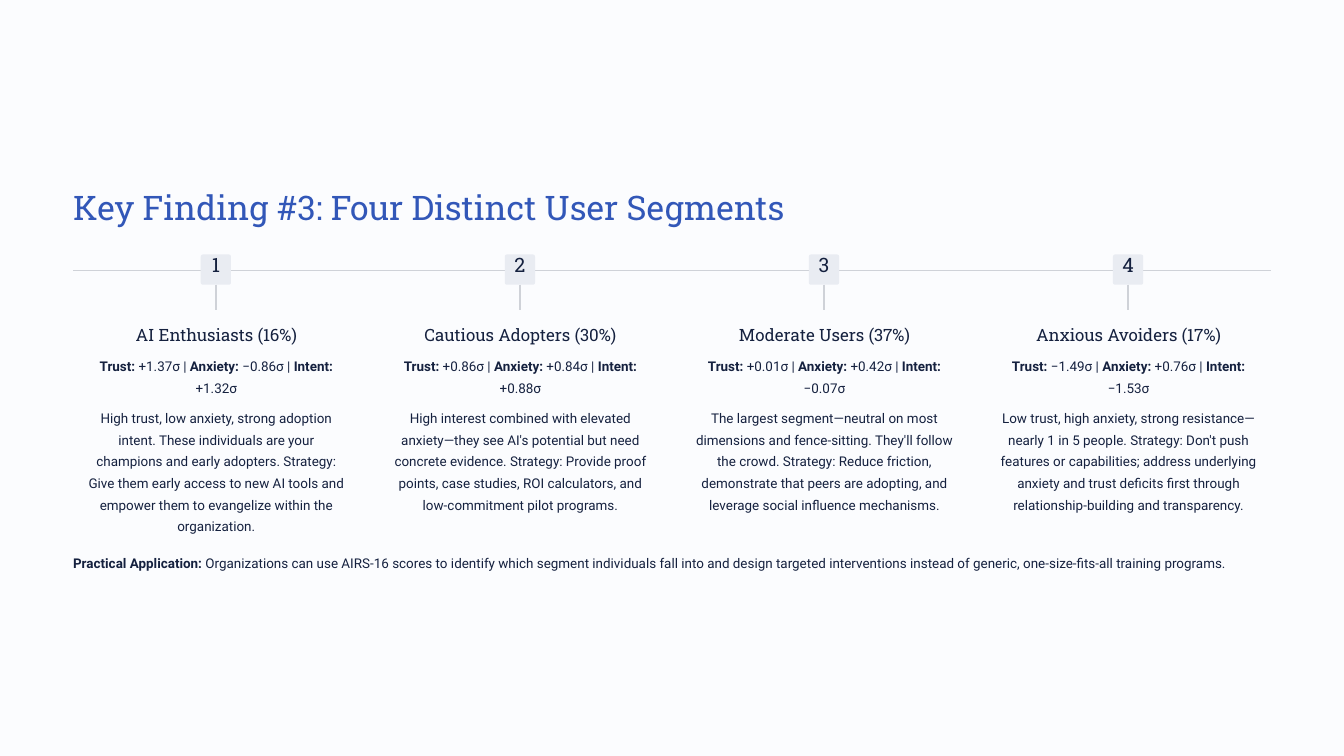
from lxml import etree
from pptx import Presentation
from pptx.dml.color import RGBColor
from pptx.enum.shapes import MSO_CONNECTOR as Conn, MSO_SHAPE as Shape
from pptx.enum.text import MSO_ANCHOR as Anchor, PP_ALIGN as Align
from pptx.oxml.ns import qn
from pptx.util import Pt

PX = 9144  # 100 px to the inch
INK, BLUE, RULE, BADGE = "15213F", "3257B8", "CFD2D8", "E9ECF2"
SLAB, SANS = "Roboto Slab", "Roboto"

prs = Presentation()
prs.slide_width, prs.slide_height = 1600 * PX, 900 * PX
slide = prs.slides.add_slide(prs.slide_layouts[6])
shapes = slide.shapes
fill = slide.background.fill
fill.solid()
fill.fore_color.rgb = RGBColor.from_string("FBFCFE")


def write(shape, parts, size, lead, font=SANS, color=INK, align=Align.CENTER, top=0):
    """Fill a shape with one paragraph; parts ending in a colon are bold if others follow."""
    frame = shape.text_frame
    frame.word_wrap = True
    frame.vertical_anchor = Anchor.TOP
    frame.margin_left = frame.margin_right = frame.margin_bottom = 0
    frame.margin_top = top * PX
    para = frame.paragraphs[0]
    para.alignment = align
    para.line_spacing = Pt(lead)
    for part in parts:
        run = para.add_run()
        run.text = part
        run.font.name, run.font.size = font, Pt(size)
        run.font.bold = len(parts) > 1 and part.endswith(":")
        run.font.color.rgb = RGBColor.from_string(color)


def rule(x1, y1, x2, y2):
    """Draw a thin grey line."""
    line = shapes.add_connector(Conn.STRAIGHT, x1 * PX, y1 * PX, x2 * PX, y2 * PX)
    line.line.color.rgb = RGBColor.from_string(RULE)
    line.line.width = Pt(1.5)
    etree.SubElement(line._element.spPr, qn("a:effectLst"))
    return line


# Title and timeline
title = shapes.add_textbox(87 * PX, 221 * PX, 1426 * PX, 50 * PX)
write(title, ["Key Finding #3: Four Distinct User Segments"], 29, 36, SLAB, BLUE, Align.LEFT)
rule(87, 322, 1513, 322)

# Segments: name, trust, anxiety, intent, description
groups = [
    ("AI Enthusiasts (16%)", "+1.37σ", "−0.86σ", "+1.32σ",
     "High trust, low anxiety, strong adoption intent. These individuals are your "
     "champions and early adopters. Strategy: Give them early access to new AI tools "
     "and empower them to evangelize within the organization."),
    ("Cautious Adopters (30%)", "+0.86σ", "+0.84σ", "+0.88σ",
     "High interest combined with elevated anxiety—they see AI's potential but need "
     "concrete evidence. Strategy: Provide proof points, case studies, ROI calculators, "
     "and low-commitment pilot programs."),
    ("Moderate Users (37%)", "+0.01σ", "+0.42σ", "−0.07σ",
     "The largest segment—neutral on most dimensions and fence-sitting. They'll follow "
     "the crowd. Strategy: Reduce friction, demonstrate that peers are adopting, and "
     "leverage social influence mechanisms."),
    ("Anxious Avoiders (17%)", "−1.49σ", "+0.76σ", "−1.53σ",
     "Low trust, high anxiety, strong resistance—nearly 1 in 5 people. Strategy: Don't "
     "push features or capabilities; address underlying anxiety and trust deficits first "
     "through relationship-building and transparency."),
]
WIDE, SIDE, PITCH = 309, 36, 362
for i, (name, trust, fear, intent, about) in enumerate(groups):
    mid = 257 + i * PITCH
    left = mid - WIDE // 2

    # Numbered badge and its stem
    badge = shapes.add_shape(Shape.ROUNDED_RECTANGLE, (mid - SIDE // 2) * PX, 303 * PX,
                             SIDE * PX, SIDE * PX)
    badge.adjustments[0] = 0.07
    badge.shadow.inherit = False
    badge.fill.solid()
    badge.fill.fore_color.rgb = RGBColor.from_string(BADGE)
    badge.line.fill.background()
    write(badge, [str(i + 1)], 17, 17, SLAB, top=2)
    stem = rule(mid, 339, mid, 369)
    stem.begin_connect(badge, 2)

    # Name, scores and description
    label = shapes.add_textbox(left * PX, 385 * PX, WIDE * PX, 25 * PX)
    write(label, [name], 14.5, 18, SLAB)
    score = shapes.add_textbox(left * PX, 420 * PX, WIDE * PX, 52 * PX)
    write(score, ["Trust:", f" {trust} | ", "Anxiety:", f" {fear} | ", "Intent:", f" {intent}"],
          11.5, 18.5)
    body = shapes.add_textbox(left * PX, 482 * PX, WIDE * PX, 155 * PX)
    write(body, [about], 11.5, 18.5)

# Closing note
note = shapes.add_textbox(87 * PX, 654 * PX, 1426 * PX, 26 * PX)
write(note, ["Practical Application:",
             " Organizations can use AIRS-16 scores to identify which segment individuals fall "
             "into and design targeted interventions instead of generic, one-size-fits-all "
             "training programs."], 11.5, 18.5, align=Align.LEFT)

prs.save("out.pptx")
